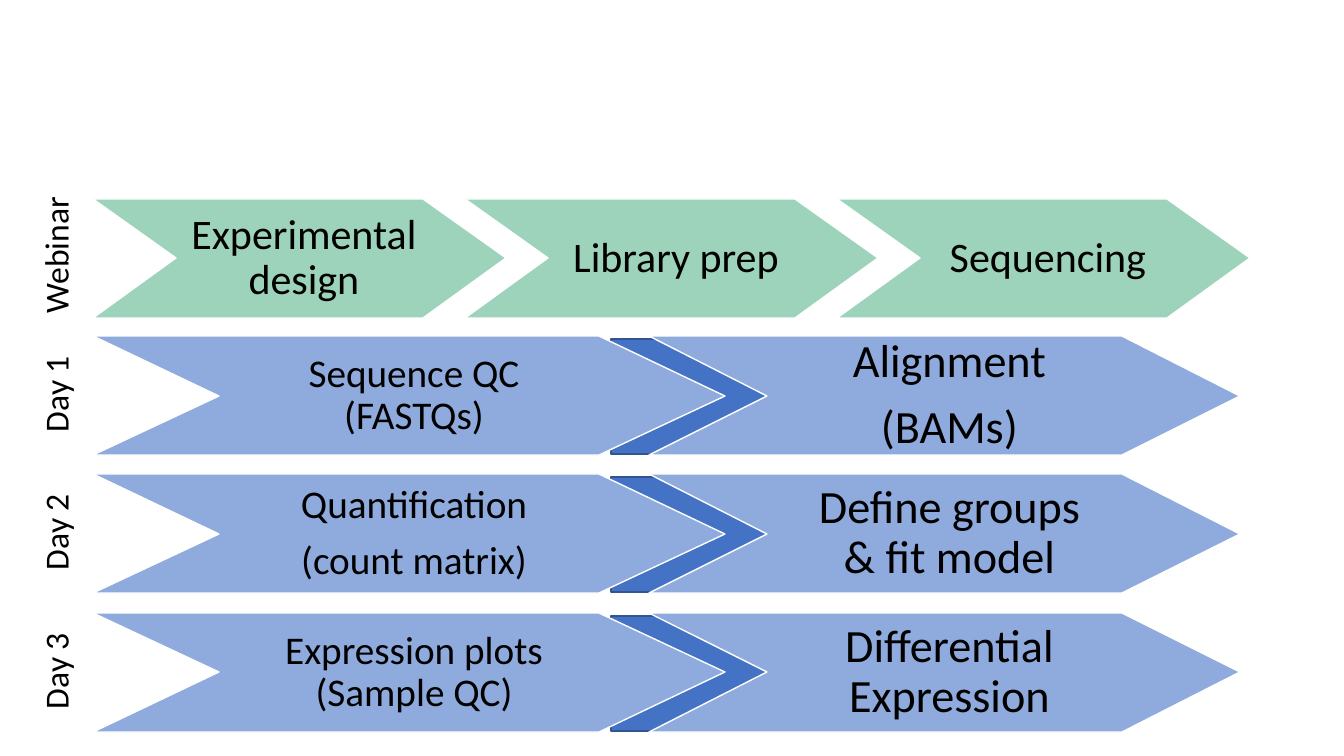
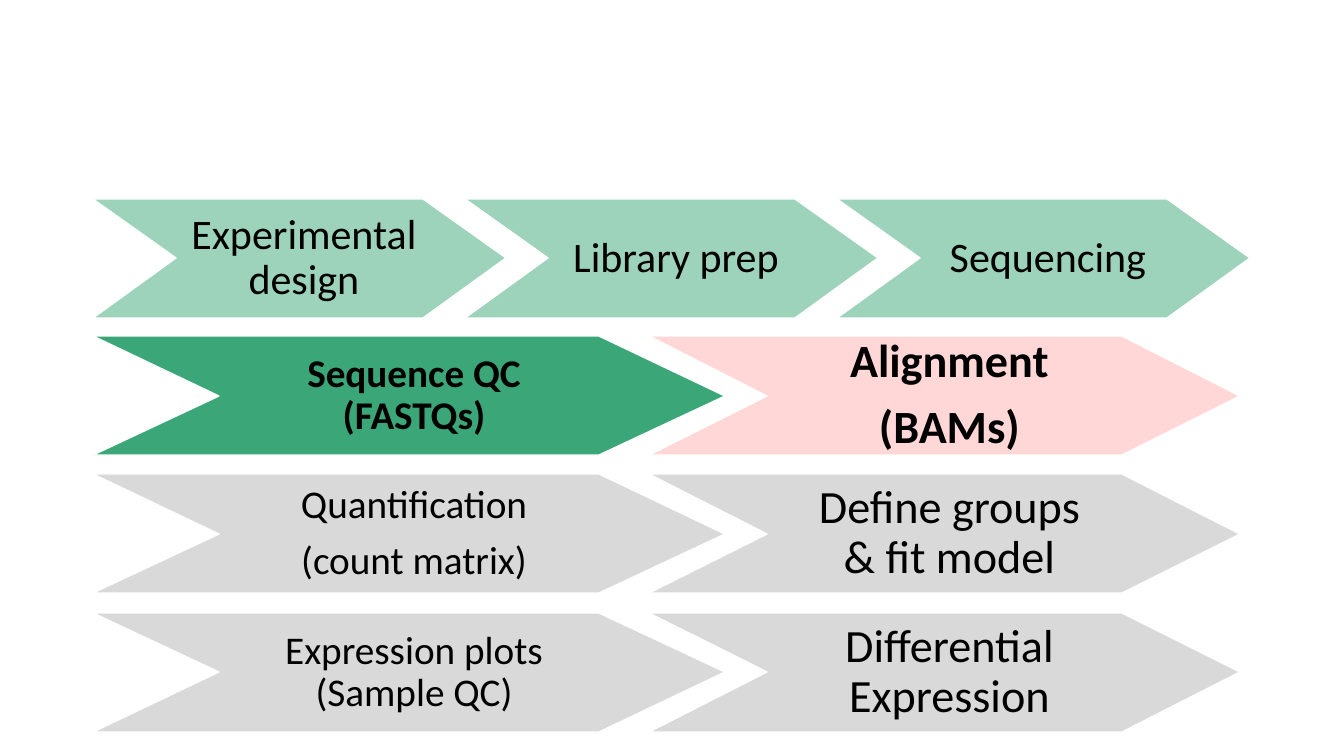
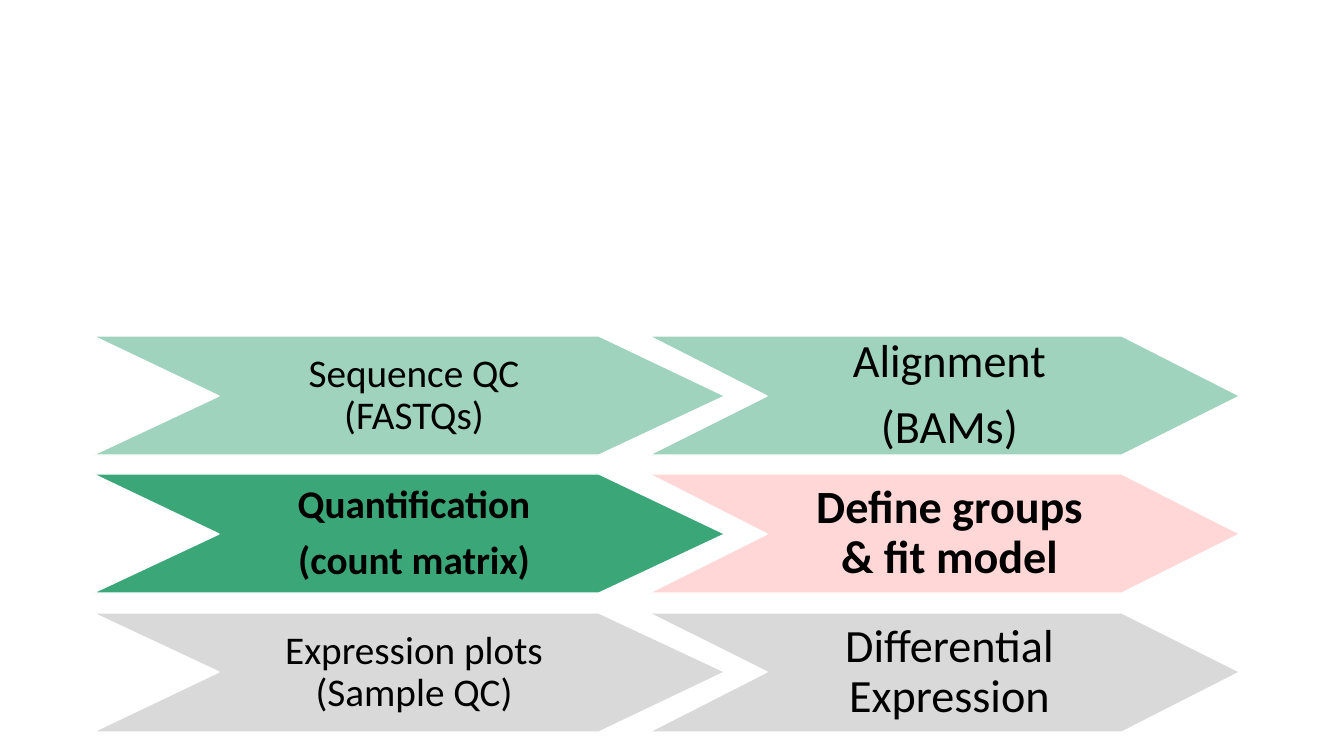
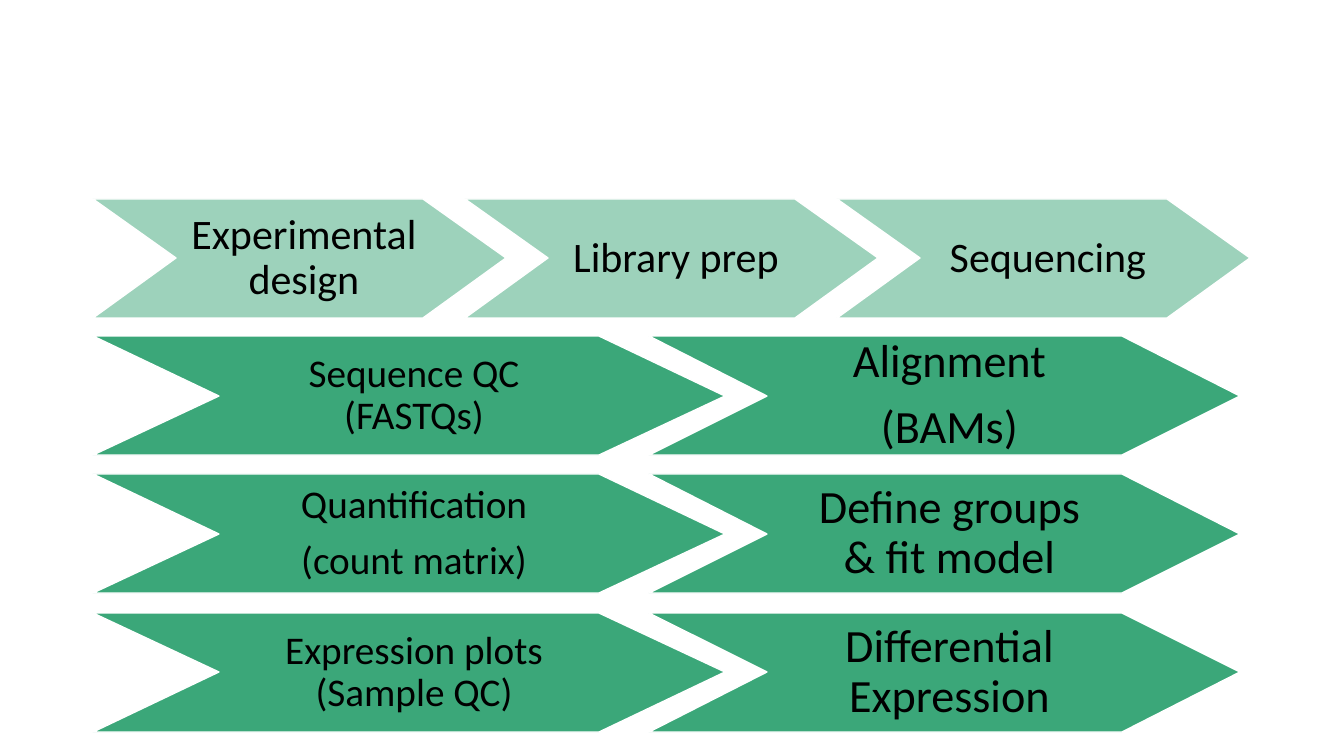
from dataclasses import dataclass

from lxml import etree
from pptx import Presentation, util as u
from pptx.dml.color import RGBColor
from pptx.enum import shapes, text
from pptx.oxml.ns import qn

PX = 914400 / 100.8


@dataclass(frozen=True)
class Theme:
    """Colours, font and type sizes of the deck."""
    font: str = "Calibri"
    ink: str = "000000"
    white: str = "FFFFFF"
    webinar: str = "3CA779"
    green: str = "3BA779"
    pale_green: str = "9FD3BD"
    pink: str = "FFD7D7"
    grey: str = "D8D9D8"
    blue: str = "8FAADC"
    link: str = "4472C4"
    link_edge: str = "325491"
    label_size: int = 24
    webinar_size: int = 30
    left_size: int = 28
    right_size: int = 33


T = Theme()
ROW_H = 119
WEBINAR_TOP = 199
DAY_TOPS = [336 + 277 * i // 2 for i in range(3)]
TOPICS = ["Experimental design", "Library prep", "Sequencing"]
DAYS = [
    ("Sequence QC\v(FASTQs)", "Alignment\n(BAMs)"),
    ("Quantification\n(count matrix)", "Define groups\v& fit model"),
    ("Expression plots\v(Sample QC)", "Differential Expression"),
]


def px(n):
    """Turn pixels into EMU."""
    return u.Emu(round(n * PX))


def write(sp, words, *, size, bold=False, insets=None, spacing=None, after=0):
    """Fill a shape with centred, formatted text."""
    tf = sp.text_frame
    tf.word_wrap = True
    if insets:
        tf.margin_left, tf.margin_top, tf.margin_right, tf.margin_bottom = map(px, insets)
    tf.text = words
    for p in tf.paragraphs:
        p.alignment = text.PP_ALIGN.CENTER
        p.line_spacing = spacing
        p.space_after = u.Pt(size * after)
        for r in p.runs:
            r.font.name, r.font.size, r.font.bold = T.font, u.Pt(size), bold
            r.font.color.rgb = RGBColor.from_string(T.ink)


class Deck:
    """Holds the presentation and the current slide."""

    def __init__(self):
        """Start a wide presentation."""
        self.prs = Presentation()
        self.prs.slide_width, self.prs.slide_height = px(1344), px(756)

    def slide(self):
        """Add a blank slide and make it current."""
        self.s = self.prs.slides.add_slide(self.prs.slide_layouts[6])

    def paint(self, sp, fill, line, alpha=None):
        """Set the fill, outline and optional opacity of a shape."""
        sp.shadow.inherit = False
        sp.fill.solid()
        sp.fill.fore_color.rgb = RGBColor.from_string(fill)
        sp.line.color.rgb = RGBColor.from_string(line)
        sp.line.width = u.Pt(1)
        if alpha:
            clr = sp.element.spPr.find(qn("a:solidFill")).find(qn("a:srgbClr"))
            etree.SubElement(clr, qn("a:alpha")).set("val", str(alpha * 1000))

    def chevron(self, x, y, w, tip, words, fill, insets, size, bold=False, alpha=None):
        """Draw a notched arrow with text."""
        mid, right, bottom = y + ROW_H / 2, x + w, y + ROW_H
        fb = self.s.shapes.build_freeform(x, y, scale=PX)
        fb.add_line_segments([(right - tip, y), (right, mid), (right - tip, bottom),
                              (x, bottom), (x + tip, mid)], close=True)
        sp = fb.convert_to_shape()
        self.paint(sp, fill, T.white, alpha)
        sp.text_frame.vertical_anchor = text.MSO_ANCHOR.MIDDLE
        write(sp, words, size=size, bold=bold, insets=insets, spacing=0.9, after=0.35)

    def label(self, y, words):
        """Write a row name that reads upwards."""
        sp = self.s.shapes.add_textbox(px(-24), px(y), px(158), px(50))
        sp.rotation = 270
        write(sp, words, size=T.label_size)
        sp.text_frame.auto_size = text.MSO_AUTO_SIZE.SHAPE_TO_FIT_TEXT

    def link(self, y):
        """Draw the dark block that joins two steps."""
        sp = self.s.shapes.add_shape(shapes.MSO_SHAPE.RECTANGLE,
                                     px(611), px(y + 3), px(160), px(115))
        self.paint(sp, T.link, T.link_edge)

    def webinar(self):
        """Draw the row of webinar topics."""
        for i, topic in enumerate(TOPICS):
            self.chevron(93 + 372 * i, WEBINAR_TOP, 413, 83, topic, T.webinar,
                         (96, 4, 87, 4), T.webinar_size, alpha=50)

    def day(self, i, left_fill, right_fill, bold=False):
        """Draw the two steps of one day."""
        y, insets = DAY_TOPS[i], (98, 5, 88, 5)
        left, right = DAYS[i]
        self.chevron(93, y, 632, 126, left, left_fill, insets, T.left_size, bold)
        self.chevron(649, y, 591, 118, right, right_fill, insets, T.right_size, bold)


deck = Deck()

deck.slide()
deck.webinar()
deck.label(230, "Webinar")
for i, top in enumerate(DAY_TOPS):
    deck.link(top)
    deck.day(i, T.blue, T.blue)
    deck.label(top + 33, f"Day {i + 1}")

CURRENT = (T.green, T.pink, True)
DONE = (T.pale_green, T.pale_green)
LATER = (T.grey, T.grey)
FULL = (T.green, T.green)
for has_webinar, states in [
    (True, [CURRENT, LATER, LATER]),
    (False, [DONE, CURRENT, LATER]),
    (True, [FULL] * 3),
]:
    deck.slide()
    if has_webinar:
        deck.webinar()
    for i, state in enumerate(states):
        deck.day(i, *state)

deck.prs.save("out.pptx")
